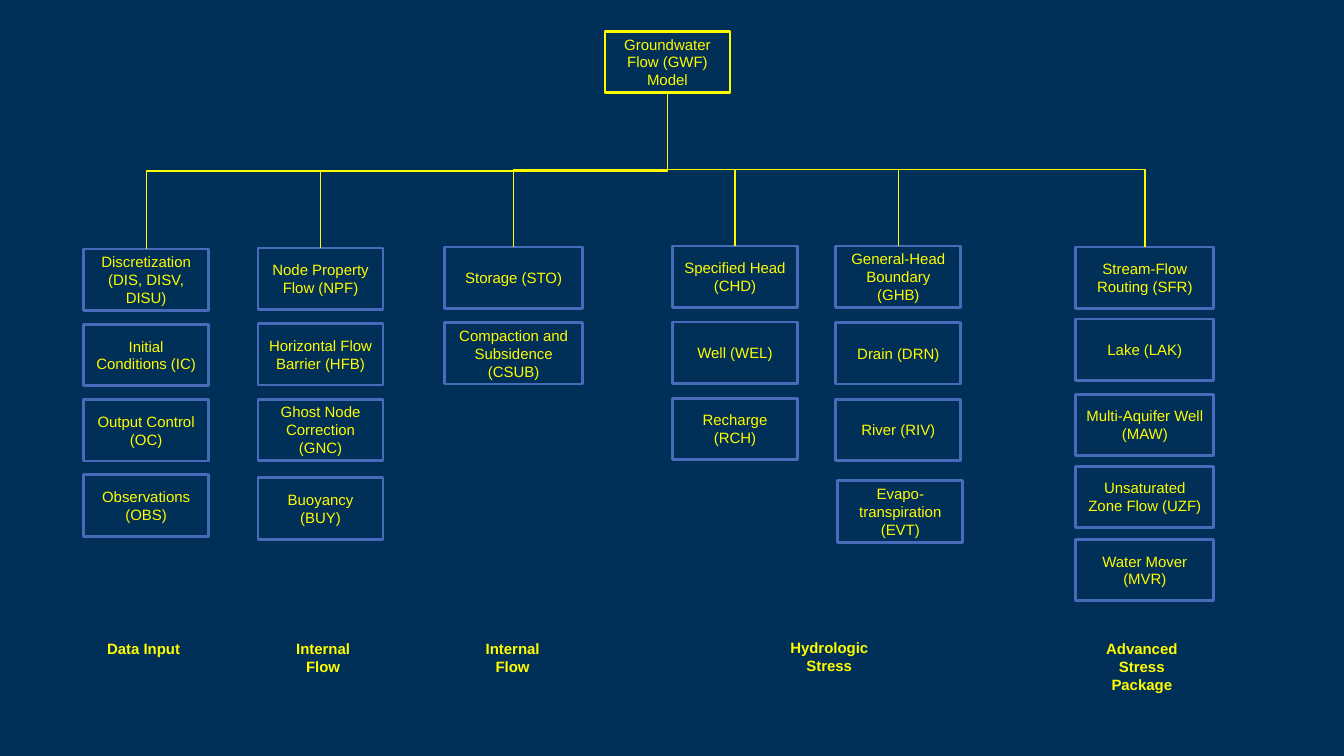
from dataclasses import dataclass

import pptx
import pptx.dml.color
import pptx.enum.shapes
import pptx.enum.text
import pptx.oxml.ns
import pptx.oxml.xmlchemy
import pptx.presentation
import pptx.shapes.autoshape
import pptx.slide
import pptx.text.text
import pptx.util
from lxml import etree

NAVY = pptx.dml.color.RGBColor(0x00, 0x2F, 0x57)
BLUE = pptx.dml.color.RGBColor(0x48, 0x6A, 0xBB)
YELLOW = pptx.dml.color.RGBColor(0xFF, 0xFC, 0x00)

CELL = pptx.util.Inches(0.01)
GRID_COLUMNS, GRID_ROWS = 1333, 750
BOX_HEIGHT = 61
NARROW, WIDE = 124, 137
LABEL_WIDTH = 107
TOP_SIDE, BOTTOM_SIDE = 0, 2
FONT = {"name": "Arial", "size": pptx.util.Pt(10.7)}
LABEL_FRAME = {
    "word_wrap": True,
    "auto_size": pptx.enum.text.MSO_AUTO_SIZE.SHAPE_TO_FIT_TEXT,
}
BOX_FRAME = {
    "word_wrap": True,
    "vertical_anchor": pptx.enum.text.MSO_ANCHOR.MIDDLE,
}


@dataclass(frozen=True)
class Package:
    text: str
    shift_right: int = 0
    shift_down: int = 0


@dataclass(frozen=True)
class Branch:
    left: int
    top: int
    width: int
    pitch: float
    packages: tuple[Package, ...]


@dataclass(frozen=True)
class Label:
    text: str
    left: int
    top: int
    height: int


BRANCHES = (
    Branch(83, 247, NARROW, 74.7, (
        Package("Discretization (DIS, DISV, DISU)"),
        Package("Initial Conditions (IC)"),
        Package("Output Control (OC)"),
        Package("Observations (OBS)"),
    )),
    Branch(256, 246, NARROW, 75, (
        Package("Node Property Flow (NPF)"),
        Package("Horizontal Flow Barrier (HFB)"),
        Package("Ghost Node Correction (GNC)"),
        Package("Buoyancy (BUY)", shift_down=3),
    )),
    Branch(441, 245, WIDE, 75, (
        Package("Storage (STO)"),
        Package("Compaction and Subsidence (CSUB)"),
    )),
    Branch(667, 244, NARROW, 75.5, (
        Package("Specified Head (CHD)"),
        Package("Well (WEL)"),
        Package("Recharge (RCH)"),
    )),
    Branch(829, 244, NARROW, 76, (
        Package("General-Head Boundary (GHB)"),
        Package("Drain (DRN)"),
        Package("River (RIV)"),
        Package("Evapo-transpiration (EVT)", shift_right=2, shift_down=5),
    )),
    Branch(1067, 245, WIDE, 72.5, (
        Package("Stream-Flow Routing (SFR)"),
        Package("Lake (LAK)", shift_down=-1),
        Package("Multi-Aquifer Well (MAW)", shift_down=1),
        Package("Unsaturated Zone Flow (UZF)"),
        Package("Water Mover\n(MVR)"),
    )),
)

LABELS = (
    Label("Data Input", 89, 630, 28),
    Label("Internal Flow", 267, 630, 46),
    Label("Internal Flow", 455, 630, 46),
    Label("Hydrologic Stress", 769, 629, 46),
    Label("Advanced Stress Package", 1079, 630, 64),
)


def cells(count: float) -> pptx.util.Emu:
    return pptx.util.Emu(round(count * CELL))


def write_text(frame: pptx.text.text.TextFrame, text: str, layout: dict, bold: bool) -> None:
    for name, value in layout.items():
        setattr(frame, name, value)
    frame.text = text
    for para in frame.paragraphs:
        para.alignment = pptx.enum.text.PP_ALIGN.CENTER
        for span in para.runs:
            for name, value in {**FONT, "bold": bold}.items():
                setattr(span.font, name, value)
            span.font.color.rgb = YELLOW


def draw_box(
    page: pptx.slide.Slide,
    text: str,
    left: float,
    top: float,
    width: float,
    border: pptx.dml.color.RGBColor,
) -> pptx.shapes.autoshape.Shape:
    box = page.shapes.add_shape(
        pptx.enum.shapes.MSO_SHAPE.RECTANGLE,
        cells(left), cells(top), cells(width), cells(BOX_HEIGHT),
    )
    box.shadow.inherit = False
    box.fill.background()
    box.line.color.rgb = border
    box.line.width = pptx.util.Pt(2)
    write_text(box.text_frame, text, BOX_FRAME, False)
    return box


def draw_label(page: pptx.slide.Slide, label: Label) -> None:
    box = page.shapes.add_textbox(
        cells(label.left), cells(label.top), cells(LABEL_WIDTH), cells(label.height)
    )
    write_text(box.text_frame, label.text, LABEL_FRAME, True)


def draw_elbow(
    page: pptx.slide.Slide,
    root: pptx.shapes.autoshape.Shape,
    head: pptx.shapes.autoshape.Shape,
) -> None:
    start_x, start_y = root.left + root.width // 2, root.top + root.height
    end_x, end_y = head.left + head.width // 2, head.top
    elbow = page.shapes.add_connector(
        pptx.enum.shapes.MSO_CONNECTOR.ELBOW, start_x, start_y, end_x, end_y
    )
    elbow.begin_connect(root, BOTTOM_SIDE)
    elbow.end_connect(head, TOP_SIDE)
    drop, reach = end_y - start_y, abs(end_x - start_x)
    frame = {
        "left": (start_x + end_x - drop) // 2,
        "top": (start_y + end_y - reach) // 2,
        "width": drop,
        "height": reach,
    }
    for name, value in frame.items():
        setattr(elbow, name, pptx.util.Emu(value))
    properties = elbow._element.spPr
    transform = properties.find(pptx.oxml.ns.qn("a:xfrm"))
    rightward = end_x > start_x
    turn = {
        "rot": "16200000" if rightward else "5400000",
        "flipH": "1" if rightward else "0",
        "flipV": "0",
    }
    for name, value in turn.items():
        transform.set(name, value)
    elbow.line.color.rgb = YELLOW
    elbow.line.width = pptx.util.Pt(1)
    etree.SubElement(properties, pptx.oxml.ns.qn("a:effectLst"))


def main() -> None:
    deck = pptx.Presentation()
    deck.slide_width = cells(GRID_COLUMNS)
    deck.slide_height = cells(GRID_ROWS)
    page = deck.slides.add_slide(deck.slide_layouts[6])
    page.background.fill.solid()
    page.background.fill.fore_color.rgb = NAVY

    root = draw_box(page, "Groundwater Flow (GWF) Model", 600, 31, NARROW, YELLOW)
    for branch in BRANCHES:
        boxes = [
            draw_box(
                page,
                package.text,
                branch.left + package.shift_right,
                branch.top + row * branch.pitch + package.shift_down,
                branch.width,
                BLUE,
            )
            for row, package in enumerate(branch.packages)
        ]
        draw_elbow(page, root, boxes[0])
    for label in LABELS:
        draw_label(page, label)
    deck.save("out.pptx")


if __name__ == "__main__":
    main()
